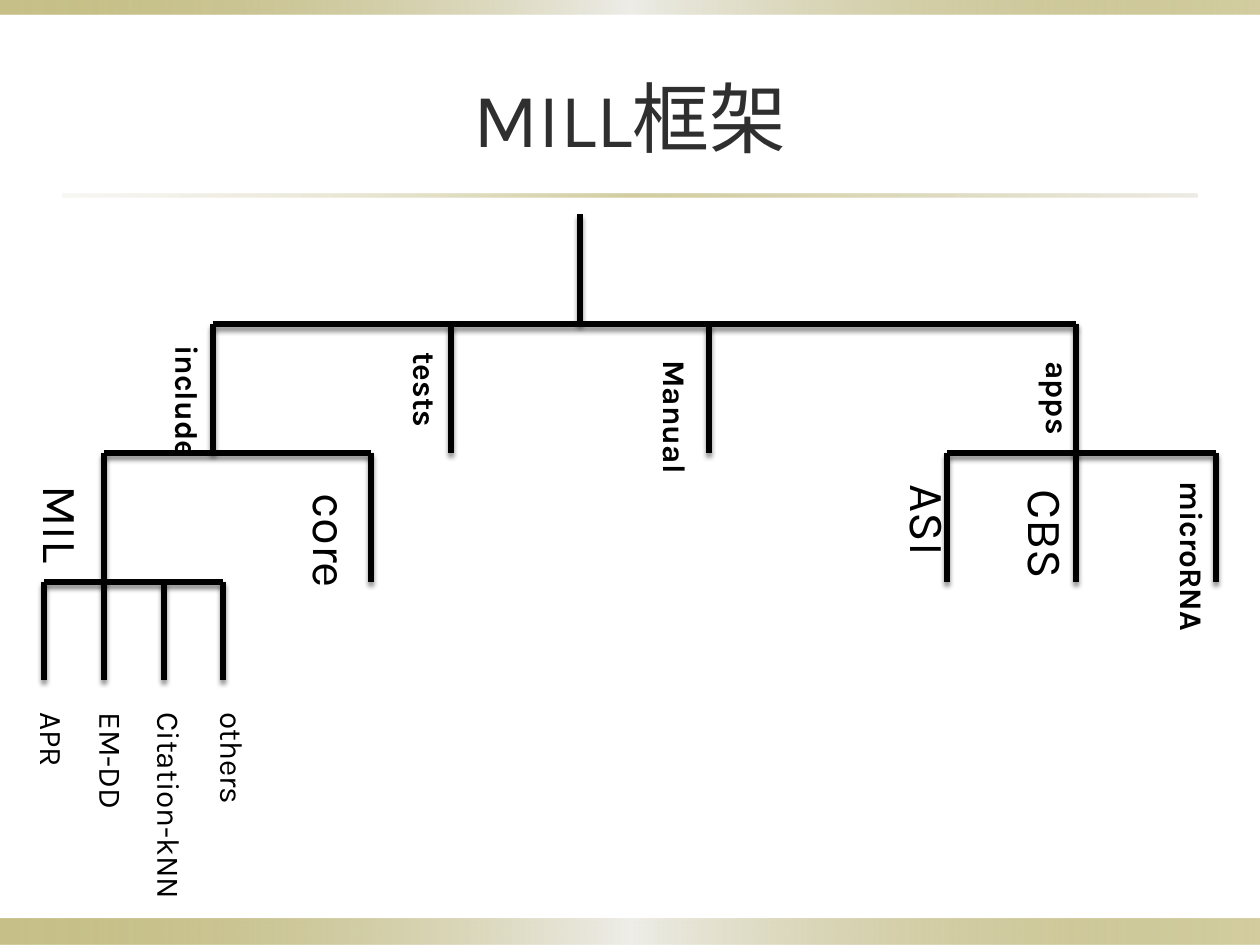
from lxml import etree
from pptx import Presentation
from pptx.dml.color import RGBColor
from pptx.enum.shapes import MSO_CONNECTOR, MSO_SHAPE
from pptx.enum.text import MSO_ANCHOR, MSO_AUTO_SIZE, PP_ALIGN
from pptx.oxml import parse_xml
from pptx.oxml.ns import qn
from pptx.util import Emu, Pt

RECTANGLE = MSO_SHAPE.RECTANGLE
STRAIGHT = MSO_CONNECTOR.STRAIGHT
MIDDLE = MSO_ANCHOR.MIDDLE
TOP = MSO_ANCHOR.TOP
CENTER = PP_ALIGN.CENTER
LEFT = PP_ALIGN.LEFT
FIT_SHAPE = MSO_AUTO_SIZE.SHAPE_TO_FIT_TEXT
FIXED = MSO_AUTO_SIZE.NONE

DRAWING = "http://schemas.openxmlformats.org/drawingml/2006/main"
PX_PER_INCH = 126
BLACK = "000000"

BAND = [(0, "918415", 50), (50, "EEEDE8", 100), (100, "918415", 40)]
RULE = [(0, "DCD9CC", 20), (50, "918415", 40), (100, "DCD9CC", 50)]

ROOT_Y, FOLDER_Y, GROUP_Y, METHOD_Y, LEAF_Y = 214, 324, 453, 582, 680
BRANCHES = [
    (FOLDER_Y, GROUP_Y, [213, 451, 709, 1076]),
    (GROUP_Y, METHOD_Y, [104, 371]),
    (GROUP_Y, METHOD_Y, [947, 1076, 1216]),
    (METHOD_Y, LEAF_Y, [44, 104, 164, 223]),
]

SMALL_LABELS = [
    ("include", 150, 333, 111, True),
    ("tests", 388, 340, 78, True),
    ("Manual", 638, 348, 115, True),
    ("apps", 1021, 349, 79, True),
    ("microRNA", 1155, 469, 151, True),
    ("APR", 15, 700, 72, False),
    ("EM-DD", 74, 700, 105, False),
    ("Citation-kNN", 132, 700, 184, False),
    ("others", 195, 700, 98, False),
]
LARGE_LABELS = [
    ("MIL", 15, 473, 91),
    ("core", 285, 481, 103),
    ("ASI", 882, 472, 84),
    ("CBS", 1000, 477, 100),
]


def px(length):
    return Emu(round(length * 914400 / PX_PER_INCH))


def color(hex_string):
    return RGBColor.from_string(hex_string)


def write_text(frame, text, *, size, hex_color=BLACK, bold=False, align=LEFT, font="Karla"):
    paragraph = frame.paragraphs[0]
    paragraph.alignment = align
    run = paragraph.add_run()
    run.text = text
    run.font.name = font
    run.font.size = Pt(size)
    run.font.bold = bold
    run.font.color.rgb = color(hex_color)


class SlideBuilder:
    def __init__(self, slide, line_color=BLACK, line_width=3):
        self.slide = slide
        self.line_color = line_color
        self.line_width = line_width

    def gradient_bar(self, left, top, width, height, stops):
        shape = self.slide.shapes.add_shape(RECTANGLE, px(left), px(top), px(width), px(height))
        shape.shadow.inherit = False
        shape.line.fill.background()
        stop_xml = "".join(
            f'<a:gs pos="{position * 1000}"><a:srgbClr val="{hex_color}">'
            f'<a:alpha val="{opacity * 1000}"/></a:srgbClr></a:gs>'
            for position, hex_color, opacity in stops
        )
        gradient = parse_xml(
            f'<a:gradFill xmlns:a="{DRAWING}" rotWithShape="1"><a:gsLst>{stop_xml}</a:gsLst>'
            '<a:lin ang="0" scaled="0"/></a:gradFill>'
        )
        shape.element.spPr.find(qn("a:prstGeom")).addnext(gradient)

    def line(self, x1, y1, x2, y2):
        connector = self.slide.shapes.add_connector(STRAIGHT, px(x1), px(y1), px(x2), px(y2))
        connector.line.color.rgb = color(self.line_color)
        connector.line.width = Pt(self.line_width)
        effects = etree.SubElement(connector.element.spPr, qn("a:effectLst"))
        shadow = etree.SubElement(
            effects, qn("a:outerShdw"),
            blurRad=str(Pt(2.8)), dist=str(Pt(2.5)), dir="5400000", rotWithShape="0",
        )
        shade = etree.SubElement(shadow, qn("a:srgbClr"), val=BLACK)
        etree.SubElement(shade, qn("a:alpha"), val="50000")

    def branch(self, top, bottom, columns):
        self.line(columns[0], top, columns[-1], top)
        for column in columns:
            self.line(column, top, column, bottom)

    def text(self, text, left, top, width, height, vertical=False, anchor=TOP, **style):
        shape = self.slide.shapes.add_textbox(px(left), px(top), px(width), px(height))
        frame = shape.text_frame
        frame.word_wrap = not vertical
        frame.auto_size = FIT_SHAPE if vertical else FIXED
        frame.vertical_anchor = anchor
        if vertical:
            shape.element.txBody.find(qn("a:bodyPr")).set("vert", "eaVert")
        write_text(frame, text, **style)


def main():
    presentation = Presentation()
    presentation.slide_width = px(1260)
    presentation.slide_height = px(945)
    slide = presentation.slides.add_slide(presentation.slide_layouts[6])
    builder = SlideBuilder(slide)

    builder.gradient_bar(0, 919, 1260, 26, BAND)
    builder.gradient_bar(0, 0, 1260, 15, BAND)
    builder.gradient_bar(63, 194, 1134, 3, RULE)
    builder.text("MILL框架", 63, 38, 1134, 157, anchor=MIDDLE,
                 size=44, hex_color="2F2F2F", align=CENTER)

    builder.line(580, FOLDER_Y, 580, ROOT_Y)
    for top, bottom, columns in BRANCHES:
        builder.branch(top, bottom, columns)

    for text, left, top, height, bold in SMALL_LABELS:
        builder.text(text, left, top, 63, height, vertical=True, size=18, bold=bold)
    for text, left, top, height in LARGE_LABELS:
        builder.text(text, left, top, 84, height, vertical=True, size=28)

    presentation.save("out.pptx")


if __name__ == "__main__":
    main()
